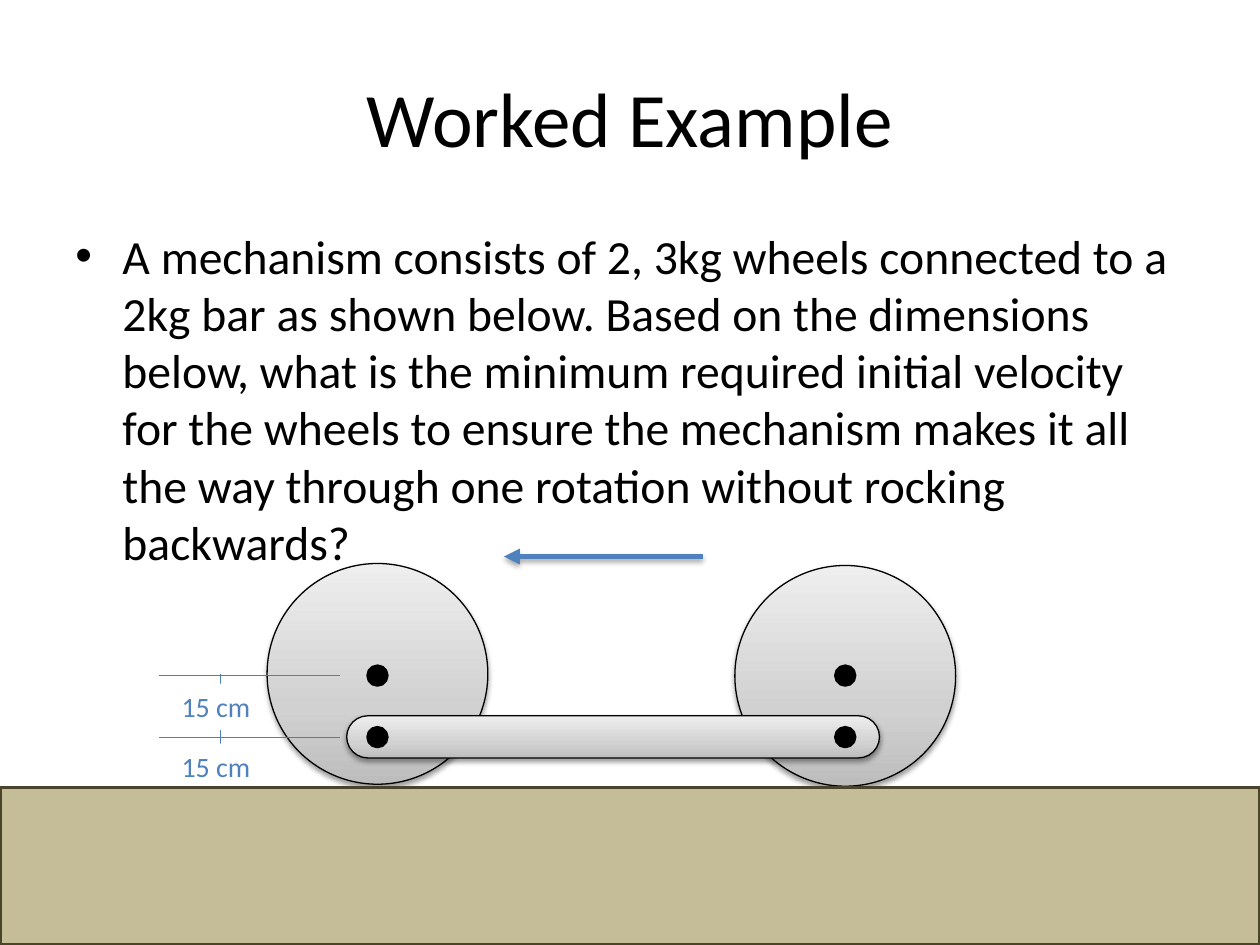
from dataclasses import dataclass, field
from typing import Any

from lxml import etree
from pptx import Presentation
from pptx import util as u
from pptx.dml.color import RGBColor
from pptx.enum import shapes, text
from pptx.oxml.ns import qn

HUES = {
    "ink": "000000", "paper": "FFFFFF", "blue": "4F81BD", "rule": "4B7EBC",
    "soil": "C4BD97", "edge": "4A452A",
    "dark": "BDBDBD", "mid": "D1D1D1", "light": "EEEEEE",
}
STEEL = {0: "dark", 35: "mid", 100: "light"}
KIND = shapes.MSO_SHAPE
MIDDLE = text.MSO_ANCHOR.MIDDLE
WHEEL = 4.45
DOT = 0.38
HUBS = (7.61, 17.04)
ROWS = (13.62, 14.86)


@dataclass
class Solid:
    kind: Any
    x: float
    y: float
    w: float
    h: float
    fill: str = ""
    edge: str = "ink"
    thick: float = 0.75


@dataclass
class Rule:
    x1: float
    y1: float
    x2: float
    y2: float
    hue: str = "rule"
    thick: float = 0.75
    arrow: bool = False
    shade: int = 0


@dataclass
class Label:
    words: str
    x: float
    y: float
    w: float
    h: float
    size: float
    hue: str = "ink"
    fill: str = ""
    bullet: bool = False
    frame: dict = field(default_factory=dict)
    para: dict = field(default_factory=dict)


def tint(name: str) -> RGBColor:
    return RGBColor.from_string(HUES[name])


def apply(item: Any, values: dict) -> None:
    for key, value in values.items():
        setattr(item, key, value)


def add(node: Any, tag: str, **values: Any) -> Any:
    return etree.SubElement(node, qn(tag), {k: str(v) for k, v in values.items()})


def add_shade(effects: Any, alpha: int) -> None:
    cast = add(effects, "a:outerShdw", blurRad=u.Pt(3.1), dist=u.Pt(1.7),
               dir=5400000, rotWithShape=0)
    hue = add(cast, "a:srgbClr", val=HUES["ink"])
    add(hue, "a:alpha", val=alpha * 1000)


def draw_solid(slide: Any, part: Solid) -> None:
    spot = map(u.Cm, (part.x, part.y, part.w, part.h))
    shape = slide.shapes.add_shape(part.kind, *spot)
    if part.kind == KIND.ROUNDED_RECTANGLE:
        shape.adjustments[0] = 0.5
    shape.line.color.rgb = tint(part.edge)
    shape.line.width = u.Pt(part.thick)
    shape.shadow.inherit = False
    if part.fill:
        shape.fill.solid()
        shape.fill.fore_color.rgb = tint(part.fill)
        return
    shape.fill.gradient()
    shape.fill.gradient_angle = 90
    props = shape._element.spPr
    stops = props.find(".//" + qn("a:gsLst"))
    for old in list(stops):
        stops.remove(old)
    for place, name in STEEL.items():
        stop = add(stops, "a:gs", pos=place * 1000)
        add(stop, "a:srgbClr", val=HUES[name])
    add_shade(props.find(qn("a:effectLst")), 38)


def draw_rule(slide: Any, rule: Rule) -> None:
    ends = map(u.Cm, (rule.x1, rule.y1, rule.x2, rule.y2))
    line = slide.shapes.add_connector(shapes.MSO_CONNECTOR.STRAIGHT, *ends)
    line.line.color.rgb = tint(rule.hue)
    line.line.width = u.Pt(rule.thick)
    if rule.arrow:
        add(line.line._get_or_add_ln(), "a:tailEnd", type="triangle")
    effects = add(line._element.spPr, "a:effectLst")
    if rule.shade:
        add_shade(effects, rule.shade)


def draw_label(slide: Any, label: Label) -> None:
    spot = map(u.Cm, (label.x, label.y, label.w, label.h))
    box = slide.shapes.add_textbox(*spot)
    if label.fill:
        box.fill.solid()
        box.fill.fore_color.rgb = tint(label.fill)
    apply(box.text_frame, label.frame)
    para = box.text_frame.paragraphs[0]
    apply(para, label.para)
    if label.bullet:
        props = para._p.get_or_add_pPr()
        props.set("marL", str(u.Cm(0.95)))
        props.set("indent", str(u.Cm(-0.95)))
        add(props, "a:buFont", typeface="Arial")
        add(props, "a:buChar", char="•")
    run = para.add_run()
    run.text = label.words
    apply(run.font, {"name": "Calibri", "size": u.Pt(label.size)})
    run.font.color.rgb = tint(label.hue)


def size_label(y: float) -> Label:
    return Label("15 cm", 3.41, y, 1.9, 0.94, 16, "blue", "paper",
                 frame={"word_wrap": False,
                        "auto_size": text.MSO_AUTO_SIZE.SHAPE_TO_FIT_TEXT})


def build() -> list:
    title = Label("Worked Example", 1.27, 0.76, 22.86, 3.18, 44,
                  frame={"word_wrap": True, "vertical_anchor": MIDDLE},
                  para={"alignment": text.PP_ALIGN.CENTER})
    body = Label("A mechanism consists of 2, 3kg wheels connected to a 2kg bar "
                 "as shown below. Based on the dimensions below, what is the "
                 "minimum required initial velocity for the wheels to ensure "
                 "the mechanism makes it all the way through one rotation "
                 "without rocking backwards?", 1.27, 4.45, 22.86, 5.92, 27.2,
                 bullet=True, frame={"word_wrap": True})
    wheels = [Solid(KIND.OVAL, hub - WHEEL / 2, top, WHEEL, WHEEL)
              for hub, top in zip(HUBS, (11.36, 11.4))]
    bar = Solid(KIND.ROUNDED_RECTANGLE, 6.99, 14.43, 10.74, 0.85)
    dots = [Solid(KIND.OVAL, hub - DOT / 2, row - DOT / 2, DOT, DOT, "ink", thick=2)
            for row in ROWS for hub in HUBS]
    rules = [Rule(3.2, row, 6.86, row) for row in ROWS]
    ground = Solid(KIND.RECTANGLE, 0, 15.88, 25.4, 3.17, "soil", "edge", 2)
    arrow = Rule(14.17, 11.22, 10.16, 11.22, "blue", 3, True, 35)
    return [title, body, *wheels, bar, Rule(4.45, 15.82, 4.45, 13.59),
            size_label(13.78), *dots, *rules, size_label(14.99), ground, arrow]


def main() -> None:
    deck = Presentation()
    apply(deck, {"slide_width": u.Cm(25.4), "slide_height": u.Cm(19.05)})
    slide = deck.slides.add_slide(deck.slide_layouts[6])
    pens = {Solid: draw_solid, Rule: draw_rule, Label: draw_label}
    for part in build():
        pens[type(part)](slide, part)
    deck.save("out.pptx")


if __name__ == "__main__":
    main()
